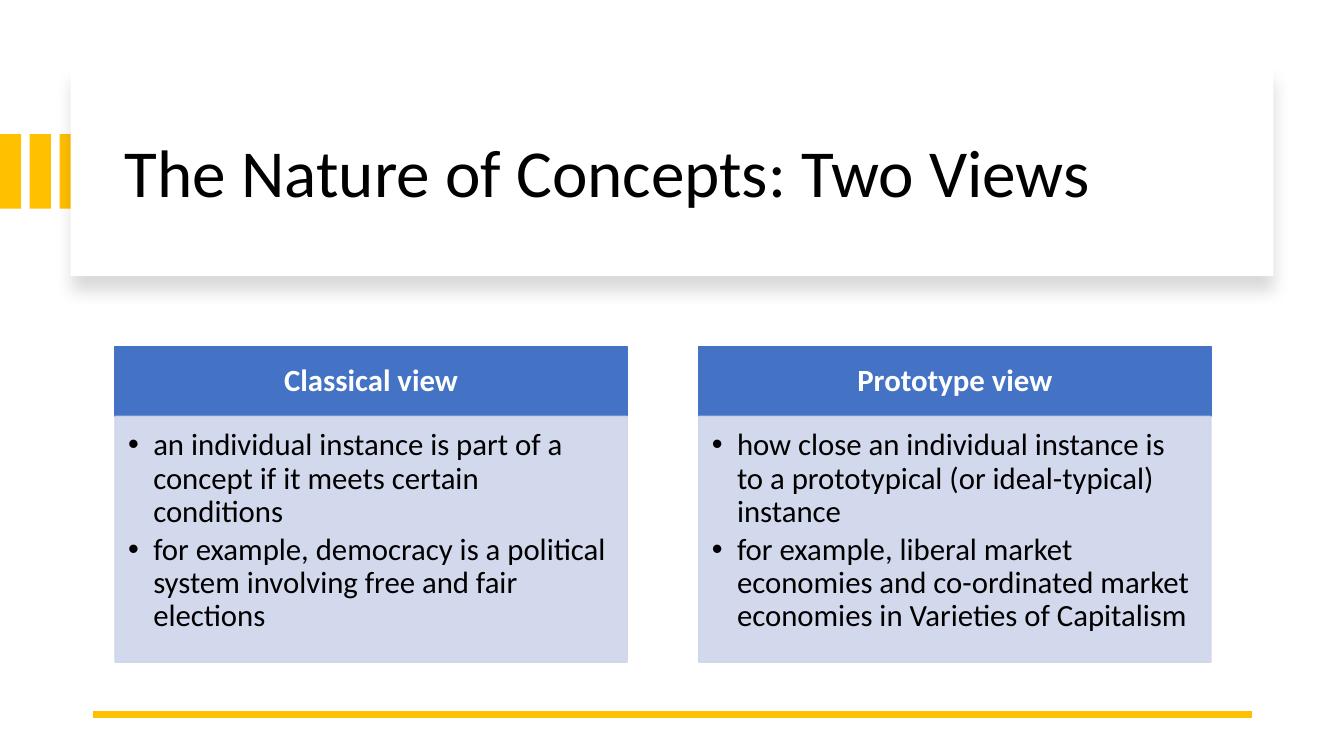
from lxml import etree
from pptx import Presentation
from pptx.dml.color import RGBColor
from pptx.enum import shapes, text
from pptx.oxml import ns
from pptx.util import Inches, Pt

TITLE = "The Nature of Concepts: Two Views"
VIEWS = [
    ("Classical view", [
        "an individual instance is part of a concept if it meets certain conditions",
        "for example, democracy is a political system involving free and fair elections",
    ]),
    ("Prototype view", [
        "how close an individual instance is to a prototypical (or ideal-typical) instance",
        "for example, liberal market economies and co-ordinated market economies "
        "in Varieties of Capitalism",
    ]),
]
GOLD, BLUE, PALE, WHITE, BLACK = "FFC000", "4472C4", "CFD5EA", "FFFFFF", "000000"

STRIPE_TOP, STRIPE_W, STRIPE_H, STRIPE_STEP = 1.33, 0.21, 0.74, 0.295
LEFT, VIEW_W, VIEW_STEP = 1.14, 5.08, 5.79
HEADER_TOP, HEADER_H, BODY_H = 3.44, 0.69, 2.44

deck = Presentation()
deck.slide_width, deck.slide_height = Inches(13.33), Inches(7.5)
slide = deck.slides.add_slide(deck.slide_layouts[6])


def rgb(value):
    return RGBColor.from_string(value)


def add_xml(parent, tag, **attributes):
    return etree.SubElement(parent, ns.qn(tag), {k: str(v) for k, v in attributes.items()})


def add_box(left, top, width, height, fill, line=None, opacity=100):
    box = slide.shapes.add_shape(shapes.MSO_SHAPE.RECTANGLE,
                                 *map(Inches, (left, top, width, height)))
    box.shadow.inherit = False
    box.fill.solid()
    box.fill.fore_color.rgb = rgb(fill)
    if line:
        box.line.color.rgb = rgb(line)
        box.line.width = Pt(1)
    else:
        box.line.fill.background()
    if opacity < 100:
        for color in box._element.spPr.iter(ns.qn("a:srgbClr")):
            add_xml(color, "a:alpha", val=opacity * 1000)
    return box


def write(box, paragraphs, size=22, color=BLACK, bold=False, align="LEFT",
          anchor="MIDDLE", insets=(0.1, 0.05, 0.1, 0.05), bullet=None, after=0):
    frame = box.text_frame
    frame.word_wrap = True
    frame.vertical_anchor = getattr(text.MSO_ANCHOR, anchor)
    (frame.margin_left, frame.margin_top,
     frame.margin_right, frame.margin_bottom) = map(Inches, insets)
    for index, wording in enumerate(paragraphs):
        paragraph = frame.add_paragraph() if index else frame.paragraphs[0]
        paragraph.alignment = getattr(text.PP_ALIGN, align)
        paragraph.line_spacing = 0.9
        paragraph.space_after = Pt(after)
        if bullet:
            properties = paragraph._p.get_or_add_pPr()
            properties.set("marL", str(Inches(0.25)))
            properties.set("indent", str(Inches(-0.25)))
            add_xml(properties, "a:buFont", typeface="Arial")
            add_xml(properties, "a:buChar", char=bullet)
        run = paragraph.add_run()
        run.text = wording
        run.font.name, run.font.size, run.font.bold = "Calibri", Pt(size), bold
        run.font.color.rgb = rgb(color)


for stripe in range(3):
    add_box(stripe * STRIPE_STEP, STRIPE_TOP, STRIPE_W, STRIPE_H, GOLD)

title_card = add_box(0.7, 0.67, 11.93, 2.07, WHITE)
effects = title_card._element.spPr.find(ns.qn("a:effectLst"))
shadow = add_xml(effects, "a:outerShdw", blurRad=Pt(11), dist=Pt(10), dir=5400000,
                 algn="t", rotWithShape=0)
add_xml(add_xml(shadow, "a:srgbClr", val=BLACK), "a:alpha", val=15000)

title = slide.shapes.add_textbox(*map(Inches, (LEFT, 0.89, 10.87, 1.7)))
write(title, [TITLE], size=48)

for column, (heading, points) in enumerate(VIEWS):
    left = LEFT + column * VIEW_STEP
    header = add_box(left, HEADER_TOP, VIEW_W, HEADER_H, BLUE, line=BLUE)
    write(header, [heading], color=WHITE, bold=True, align="CENTER",
          insets=(0.17, 0.1, 0.17, 0.1))
    body = add_box(left, HEADER_TOP + HEADER_H, VIEW_W, BODY_H, PALE, line=PALE, opacity=90)
    write(body, points, anchor="TOP", insets=(0.13, 0.13, 0.17, 0.19), bullet="•", after=3.3)

footer_rule = slide.shapes.add_connector(shapes.MSO_CONNECTOR.STRAIGHT,
                                         *map(Inches, (12.42, 7.09, 0.92, 7.09)))
footer_rule.line.color.rgb = rgb(GOLD)
footer_rule.line.width = Pt(4.5)
add_xml(footer_rule._element.spPr, "a:effectLst")

deck.save("out.pptx")
